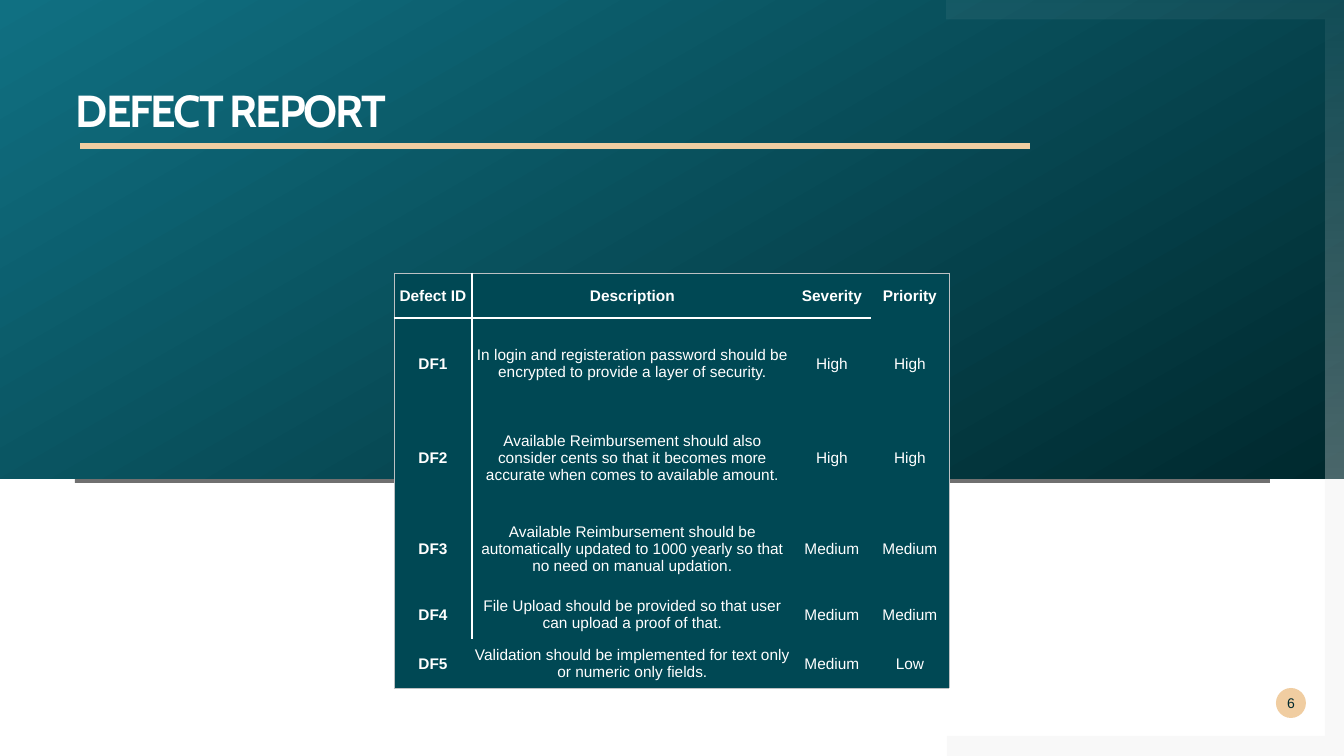
from dataclasses import dataclass

from lxml.etree import SubElement
from pptx import Presentation
from pptx.dml.color import RGBColor
from pptx.enum.shapes import MSO_CONNECTOR, MSO_SHAPE
from pptx.enum.text import MSO_ANCHOR, MSO_AUTO_SIZE, PP_ALIGN
from pptx.oxml.ns import qn
from pptx.util import Emu, Pt

EMU_PER_PX = 914400 / 100.8
WIDTH, HEIGHT, BAND_HEIGHT = 1344, 756, 479
NO_GRID_STYLE = "{2D5ABB26-0587-4C30-8999-92F81FD0307C}"

COLUMN_WIDTHS = (78, 321, 78, 78)
ROW_HEIGHTS = (45, 91, 98, 83, 49, 49)
DEFECTS = (
    ("Defect ID", "Description", "Severity", "Priority"),
    ("DF1", "In login and registeration password should be encrypted to provide a layer of security.",
     "High", "High"),
    ("DF2", "Available Reimbursement should also consider cents so that it becomes more accurate "
     "when comes to available amount.", "High", "High"),
    ("DF3", "Available Reimbursement should be automatically updated to 1000 yearly so that "
     "no need on manual updation.", "Medium", "Medium"),
    ("DF4", "File Upload should be provided so that user can upload a proof of that.",
     "Medium", "Medium"),
    ("DF5", "Validation should be implemented for text only or numeric only fields.",
     "Medium", "Low"),
)


@dataclass(frozen=True)
class Theme:
    """Colours, fonts and type sizes of the slide."""
    white: str = "FFFFFF"
    black: str = "000000"
    dark: str = "00292E"
    teal: str = "107082"
    table: str = "004854"
    sand: str = "F0CDA1"
    edge: str = "BDC1C3"
    grey: str = "808080"
    heading_font: str = "Cabin"
    body_font: str = "Arial"
    title_size: int = 32
    table_size: int = 11
    number_size: int = 10


THEME = Theme()


def px(length):
    """Turn pixels into EMU."""
    return Emu(round(length * EMU_PER_PX))


def color(code):
    """Turn a hex code into a colour."""
    return RGBColor.from_string(code)


def set_alpha(shape, *percents):
    """Set the opacity of the fill colours of a shape in order."""
    fill_colors = shape.element.spPr.iter(qn("a:srgbClr"))
    for element, percent in zip(list(fill_colors), percents):
        SubElement(element, qn("a:alpha"), val=str(percent * 1000))


def fill_gradient(shape, start, end, angle):
    """Fill a shape with a two-colour linear gradient."""
    shape.fill.gradient()
    shape.fill.gradient_angle = angle
    for stop, code, position in zip(shape.fill.gradient_stops, (start, end), (0, 1)):
        stop.color.rgb = color(code)
        stop.position = position


def add_plain(slide, kind, box):
    """Add a preset shape without line or shadow."""
    shape = slide.shapes.add_shape(kind, *map(px, box))
    shape.shadow.inherit = False
    shape.line.fill.background()
    return shape


def add_outline(slide, points):
    """Add a closed freeform without line or shadow."""
    builder = slide.shapes.build_freeform(*points[0], scale=EMU_PER_PX)
    builder.add_line_segments(points[1:], close=True)
    shape = builder.convert_to_shape()
    shape.shadow.inherit = False
    shape.line.fill.background()
    return shape


def add_backdrop(slide, box):
    """Draw the teal band, its shade and the corner frame in the box."""
    left, top, width, height = box
    right, bottom, middle = left + width, top + height, top + BAND_HEIGHT
    shade = add_plain(slide, MSO_SHAPE.RECTANGLE, (left + 75, middle - 1, width - 149, 5))
    shade.fill.solid()
    shade.fill.fore_color.rgb = color(THEME.black)
    set_alpha(shade, 56)
    band = add_plain(slide, MSO_SHAPE.RECTANGLE, (left, top, width, BAND_HEIGHT))
    fill_gradient(band, THEME.dark, THEME.teal, 120)

    start, inner, thick = right - 397, right - 19, 20
    upper = add_outline(slide, [(start, top), (right, top), (right, middle), (inner, middle),
                                (inner, top + thick), (start, top + thick)])
    fill_gradient(upper, THEME.white, THEME.white, 270)
    set_alpha(upper, 5, 30)
    lower = add_outline(slide, [(inner, middle), (right, middle), (right, bottom), (start, bottom),
                                (start, bottom - thick), (inner, bottom - thick)])
    lower.fill.solid()
    lower.fill.fore_color.rgb = color(THEME.grey)
    set_alpha(lower, 5)


def add_title(slide, box):
    """Place the title and the rule under it in the box."""
    left, top, width, height = box
    title = slide.shapes.title
    title.element.getparent().append(title.element)
    title.left, title.top, title.width, title.height = map(px, box)
    frame = title.text_frame
    frame.margin_left = frame.margin_right = frame.margin_top = frame.margin_bottom = 0
    frame.word_wrap = True
    frame.auto_size = MSO_AUTO_SIZE.NONE
    frame.vertical_anchor = MSO_ANCHOR.TOP
    frame.text = "DEFECT REPORT"
    paragraph = frame.paragraphs[0]
    paragraph.alignment = PP_ALIGN.LEFT
    paragraph.line_spacing = 0.9
    style_font(paragraph, THEME.heading_font, THEME.title_size, THEME.white, True)
    paragraph.runs[0].font.bold = True
    paragraph.runs[0].font.language_id = None
    paragraph.runs[0].font._element.set("spc", "-150")

    rule_y = px(top + height + 17)
    rule = slide.shapes.add_connector(
        MSO_CONNECTOR.STRAIGHT, px(left + 4), rule_y, px(left + 4 + width), rule_y)
    rule.line.color.rgb = color(THEME.sand)
    rule.line.width = Pt(4.32)
    SubElement(rule.element.spPr, qn("a:effectLst"))


def style_font(paragraph, name, size, code, bold=False):
    """Set the font of a paragraph."""
    font = paragraph.font
    font.name, font.size, font.bold = name, Pt(size), bold
    font.color.rgb = color(code)


def add_border(cell, side, code, width):
    """Draw one border of a table cell."""
    line = SubElement(cell._tc.get_or_add_tcPr(), qn(f"a:ln{side}"), w=str(Pt(width)))
    SubElement(SubElement(line, qn("a:solidFill")), qn("a:srgbClr"), val=code)


def fill_cell(cell, text, row, column):
    """Write and format one cell of the defect table."""
    last_row, last_column = len(ROW_HEIGHTS) - 1, len(COLUMN_WIDTHS) - 1
    if column == 0:
        add_border(cell, "L", THEME.edge, 0.5)
    if column == 0 and row < last_row:
        add_border(cell, "R", THEME.white, 1)
    if column == last_column:
        add_border(cell, "R", THEME.edge, 0.5)
    if row == 0:
        add_border(cell, "T", THEME.edge, 0.5)
    if row == 0 and column < last_column:
        add_border(cell, "B", THEME.white, 1.5)
    if row == last_row:
        add_border(cell, "B", THEME.edge, 0.5)
    cell.fill.solid()
    cell.fill.fore_color.rgb = color(THEME.table)
    cell.margin_left = cell.margin_right = cell.margin_top = px(1)
    cell.margin_bottom = 0
    cell.vertical_anchor = MSO_ANCHOR.MIDDLE
    cell.text = text
    paragraph = cell.text_frame.paragraphs[0]
    paragraph.alignment = PP_ALIGN.CENTER
    style_font(paragraph, THEME.body_font, THEME.table_size, THEME.white, row == 0 or column == 0)


def add_defect_table(slide, left, top):
    """Build the defect table from its top left corner."""
    box = (left, top, sum(COLUMN_WIDTHS), sum(ROW_HEIGHTS))
    table = slide.shapes.add_table(len(ROW_HEIGHTS), len(COLUMN_WIDTHS), *map(px, box)).table
    table.horz_banding = False
    table._tbl.tblPr.find(qn("a:tableStyleId")).text = NO_GRID_STYLE
    for column, width in zip(table.columns, COLUMN_WIDTHS):
        column.width = px(width)
    for row, height in zip(table.rows, ROW_HEIGHTS):
        row.height = px(height)
    for row, texts in enumerate(DEFECTS):
        for column, text in enumerate(texts):
            fill_cell(table.cell(row, column), text, row, column)


def add_slide_number(slide, box):
    """Draw the round slide number in the box."""
    badge = add_plain(slide, MSO_SHAPE.OVAL, box)
    badge.fill.solid()
    badge.fill.fore_color.rgb = color(THEME.sand)
    frame = badge.text_frame
    frame.margin_left = frame.margin_right = frame.margin_top = frame.margin_bottom = 0
    frame.vertical_anchor = MSO_ANCHOR.MIDDLE
    frame.text = "6"
    paragraph = frame.paragraphs[0]
    paragraph.alignment = PP_ALIGN.CENTER
    style_font(paragraph, THEME.body_font, THEME.number_size, THEME.dark)


def main():
    """Build the defect report slide and save it."""
    presentation = Presentation()
    presentation.slide_width, presentation.slide_height = px(WIDTH), px(HEIGHT)
    slide = presentation.slides.add_slide(presentation.slide_layouts[5])
    add_backdrop(slide, (0, 0, WIDTH, HEIGHT))
    add_title(slide, (76, 89, 950, 40))
    add_slide_number(slide, (1276, 688, 30, 30))
    add_defect_table(slide, 394, 273)
    presentation.save("out.pptx")


if __name__ == "__main__":
    main()
